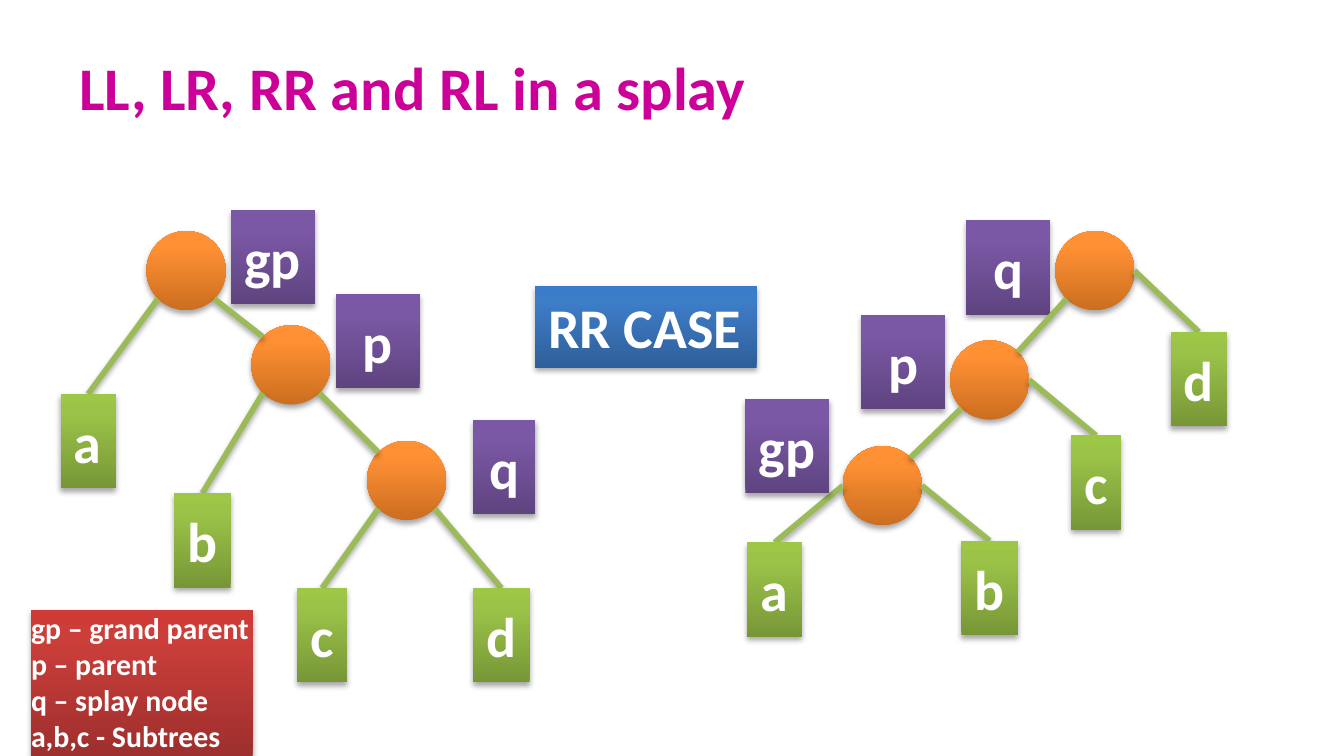
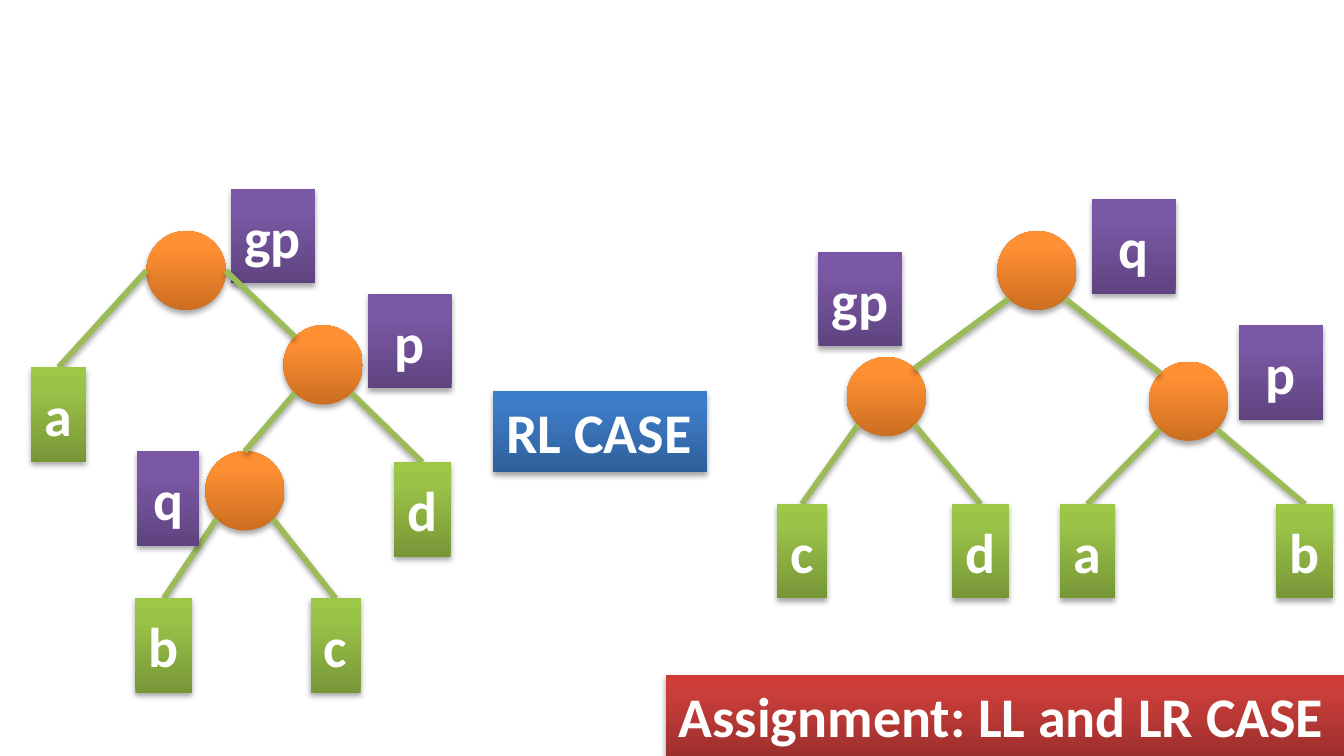
from pptx import Presentation, oxml, util as u
from pptx.dml.color import RGBColor
from pptx.enum import shapes, text
from pptx.oxml.ns import nsdecls

MAGENTA = RGBColor(0xCC, 0x00, 0x99)
WHITE = RGBColor(0xFF, 0xFF, 0xFF)
EDGE = RGBColor(0x9B, 0xBB, 0x59)
ORANGE = (RGBColor(0xCC, 0x6E, 0x20), RGBColor(0xFF, 0x90, 0x34), RGBColor(0xFF, 0x91, 0x36))
GREEN = (RGBColor(0x77, 0x97, 0x37), RGBColor(0x9B, 0xC3, 0x48), RGBColor(0x9D, 0xC7, 0x46))
PURPLE = (RGBColor(0x5F, 0x44, 0x80), RGBColor(0x7B, 0x58, 0xA6), RGBColor(0x7C, 0x57, 0xA8))
RED = (RGBColor(0x9C, 0x2F, 0x2D), RGBColor(0xCB, 0x3E, 0x3A), RGBColor(0xCE, 0x3B, 0x37))
BLUE = (RGBColor(0x2F, 0x5F, 0x99), RGBColor(0x3D, 0x7C, 0xC7), RGBColor(0x3A, 0x7C, 0xCB))

FONT = "Calibri"
RADIUS = 21.25
BOX_H = 50.6
LEAF_W = {"a": 29.5, "b": 30.4, "c": 26.8, "d": 30.4}
DIRECTIONS = {"N": (0, -1), "E": (1, 0), "W": (-1, 0),
              "NE": (0.71, -0.71), "NW": (-0.71, -0.71),
              "SE": (0.71, 0.71), "SW": (-0.71, 0.71)}


class Deck:
    """Holds the shared style and the current slide, and draws splay trees on it."""

    def __init__(self):
        self.prs = Presentation()
        self.prs.slide_width, self.prs.slide_height = u.Pt(720), u.Pt(405)
        self.s = None

    def slide(self, title=None):
        self.s = self.prs.slides.add_slide(self.prs.slide_layouts[5 if title else 6])
        if title:
            sp = self.s.shapes.title
            sp.left, sp.top, sp.width, sp.height = map(u.Pt, (35.3, 22.3, 649.4, 48.2))
            sp.text_frame.vertical_anchor = text.MSO_ANCHOR.MIDDLE
            p = sp.text_frame.paragraphs[0]
            p.alignment = text.PP_ALIGN.LEFT
            self.run(p, title, 32.4, MAGENTA)

    def run(self, p, words, size, color=WHITE):
        r = p.add_run()
        r.text = words
        r.font.name, r.font.size, r.font.bold = FONT, u.Pt(size), True
        r.font.color.rgb = color

    def shadow(self, sp):
        sp._element.spPr.append(oxml.parse_xml(
            f'<a:effectLst {nsdecls("a")}><a:outerShdw blurRad="{u.Pt(3.1)}" dist="{u.Pt(1.8)}" '
            'dir="5400000" rotWithShape="0"><a:srgbClr val="000000"><a:alpha val="35000"/>'
            '</a:srgbClr></a:outerShdw></a:effectLst>'))

    def shape(self, kind, x, y, w, h, colors):
        sp = self.s.shapes.add_shape(kind, *map(u.Pt, (x, y, w, h)))
        sp.line.fill.background()
        stops = "".join(f'<a:gs pos="{pos}"><a:srgbClr val="{c}"/></a:gs>'
                        for pos, c in zip((0, 80000, 100000), colors))
        sp._element.spPr.insert(2, oxml.parse_xml(
            f'<a:gradFill rotWithShape="1" {nsdecls("a")}><a:gsLst>{stops}</a:gsLst>'
            '<a:lin ang="16200000" scaled="0"/></a:gradFill>'))
        self.shadow(sp)
        return sp

    def box(self, lines, x, y, w, h, colors, size=30, inset=(7.2, 7.2), wrap=False, center=False):
        sp = self.shape(shapes.MSO_SHAPE.RECTANGLE, x, y, w, h, colors)
        tf = sp.text_frame
        tf.word_wrap = wrap
        tf.auto_size = text.MSO_AUTO_SIZE.SHAPE_TO_FIT_TEXT
        tf.vertical_anchor = text.MSO_ANCHOR.TOP
        tf.margin_left = tf.margin_right = u.Pt(inset[0])
        tf.margin_top = tf.margin_bottom = u.Pt(inset[1])
        for i, line in enumerate(lines):
            p = tf.add_paragraph() if i else tf.paragraphs[0]
            p.alignment = text.PP_ALIGN.CENTER if center else text.PP_ALIGN.LEFT
            self.run(p, line, size)

    def node(self, cx, cy):
        self.shape(shapes.MSO_SHAPE.OVAL, cx - RADIUS, cy - RADIUS, 2 * RADIUS, 2 * RADIUS, ORANGE)
        return cx, cy

    def rim(self, node, side):
        dx, dy = DIRECTIONS[side]
        return node[0] + RADIUS * dx, node[1] + RADIUS * dy

    def line(self, start, end):
        c = self.s.shapes.add_connector(shapes.MSO_CONNECTOR.STRAIGHT, *map(u.Pt, start + end))
        c.line.color.rgb, c.line.width = EDGE, u.Pt(3)
        self.shadow(c)

    def edge(self, parent, side, child, child_side):
        self.line(self.rim(parent, side), self.rim(child, child_side))

    def leaf(self, parent, side, letter, cx, top):
        self.line(self.rim(parent, side), (cx, top))
        w = LEAF_W[letter]
        self.box([letter], cx - w / 2, top, w, BOX_H, GREEN)

    def tag(self, name, x, y, w=44.9):
        self.box([name], x, y, w, BOX_H, PURPLE, wrap=name != "gp", center=name != "gp")

    def banner(self, words, x, y, w, colors):
        self.box([words], x, y, w, 43.6, colors, inset=(7.2, 3.6))


def rr_case(d):
    d.slide("LL, LR, RR and RL in a splay")
    gp, p, q = d.node(99.7, 145), d.node(155.9, 195.5), d.node(217.8, 257.4)
    d.leaf(p, "SW", "b", 108.4, 264.2)
    d.edge(p, "SE", q, "NW")
    d.leaf(q, "SW", "c", 172.6, 315)
    d.leaf(q, "SE", "d", 268.6, 315)
    d.tag("p", 180, 157.5)
    d.tag("q", 253.4, 224.8, 33.5)
    d.box(["gp – grand parent", "p – parent", "q – splay node", "a,b,c - Subtrees"],
          16.6, 326.9, 118.8, 80, RED, size=16, inset=(0, 0))
    d.tag("gp", 123.8, 112.4)
    d.edge(gp, "SE", p, "NW")
    d.leaf(gp, "SW", "a", 47.3, 211)
    d.banner("RR CASE", 286.6, 153.4, 118.8, BLUE)

    gp, p, q = d.node(472.7, 260.2), d.node(530.2, 203.6), d.node(586.5, 145)
    d.leaf(gp, "W", "a", 415, 290.6)
    d.leaf(gp, "E", "b", 530.2, 289.7)
    d.edge(p, "SW", gp, "NE")
    d.leaf(p, "E", "c", 587.2, 233.3)
    d.tag("p", 461.4, 168.7)
    d.tag("gp", 399.4, 213.8)
    d.tag("q", 517.6, 118)
    d.leaf(q, "E", "d", 642.3, 177.8)
    d.edge(q, "SW", p, "NE")


def rl_case(d):
    d.slide()
    gp, p, q = d.node(99.7, 145), d.node(173.1, 195.5), d.node(131.2, 263)
    d.edge(p, "SW", q, "N")
    d.leaf(p, "SE", "d", 226.2, 247.6)
    d.leaf(q, "SW", "b", 87.8, 320.5)
    d.leaf(q, "SE", "c", 179.8, 320.5)
    d.tag("p", 197.1, 157.5)
    d.tag("q", 73.4, 241.8, 33.5)
    d.tag("gp", 123.8, 101.3)
    d.edge(gp, "E", p, "NW")
    d.leaf(gp, "W", "a", 31.4, 196.7)
    d.banner("RL CASE", 264.2, 209.5, 114.5, BLUE)

    gp, p, q = d.node(474.8, 212.5), d.node(636.7, 215), d.node(555.5, 145)
    d.leaf(gp, "SW", "c", 429.6, 270)
    d.leaf(gp, "SE", "d", 525.3, 270)
    d.leaf(p, "SW", "a", 582.6, 270)
    d.leaf(p, "SE", "b", 699, 270)
    d.tag("p", 663.8, 174.2)
    d.tag("gp", 438.5, 134.8)
    d.tag("q", 585, 106.7)
    d.edge(q, "SE", p, "NW")
    d.edge(q, "SW", gp, "NE")
    d.banner("Assignment: LL and LR CASE", 356.6, 361.4, 363.4, RED)


def main():
    d = Deck()
    rr_case(d)
    rl_case(d)
    d.prs.save("out.pptx")


if __name__ == "__main__":
    main()
